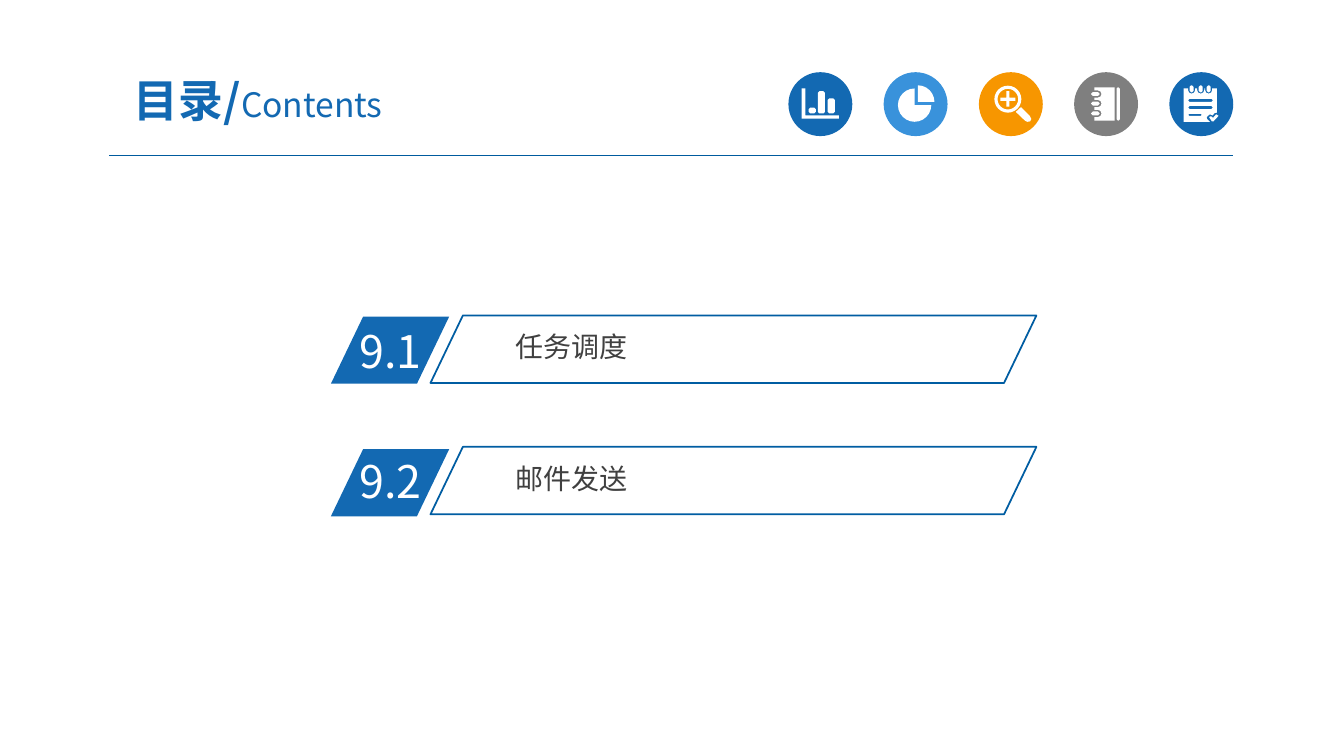
from math import cos, radians, sin
from lxml.etree import SubElement
from pptx import Presentation
from pptx.dml.color import RGBColor
from pptx.enum.shapes import MSO_CONNECTOR, MSO_SHAPE as Preset
from pptx.enum.text import MSO_ANCHOR, PP_ALIGN
from pptx.oxml.ns import qn
from pptx.util import Cm, Pt

BLUE = RGBColor(0x13, 0x69, 0xB2)
LIGHT_BLUE = RGBColor(0x39, 0x92, 0xDB)
ORANGE = RGBColor(0xF7, 0x96, 0x00)
GRAY = RGBColor(0x7F, 0x7F, 0x7F)
FRAME_BLUE = RGBColor(0x00, 0x5D, 0xA2)
RULE_BLUE = RGBColor(0x00, 0x5B, 0x9E)
DARK = RGBColor(0x40, 0x40, 0x40)
WHITE = RGBColor(0xFF, 0xFF, 0xFF)
FONT = "Noto Sans CJK SC"

deck = Presentation()
deck.slide_width, deck.slide_height = Cm(33.87), Cm(19.05)
slide = deck.slides.add_slide(deck.slide_layouts[6])
shapes = slide.shapes


def arc(center_x, center_y, radius, start, end, step=15):
    return [(center_x + radius * cos(radians(angle)), center_y + radius * sin(radians(angle)))
            for angle in range(start, end + 1, step)]


def add_text(left, top, width, height, inset_x, inset_y, texts, color, size):
    frame = shapes.add_textbox(Cm(left), Cm(top), Cm(width), Cm(height)).text_frame
    frame.word_wrap = True
    frame.margin_left = frame.margin_right = Cm(inset_x)
    frame.margin_top = frame.margin_bottom = Cm(inset_y)
    line = frame.paragraphs[0]
    for text in texts:
        line.add_run().text = text
    line.font.name = FONT
    line.font.size = Pt(size)
    line.font.color.rgb = color
    SubElement(line.font._element, qn("a:ea")).set("typeface", FONT)
    return frame


header_rule = shapes.add_connector(MSO_CONNECTOR.STRAIGHT, Cm(2.75), Cm(3.93), Cm(31.07), Cm(3.93))
header_rule.line.color.rgb = RULE_BLUE
header_rule.line.width = Pt(0.75)
SubElement(header_rule._element.spPr, qn("a:effectLst"))

axes = [(0.33, 0.41), (0.43, 0.41), (0.43, 1.09), (1.27, 1.09), (1.27, 1.17), (0.33, 1.17)]
bars = [(0.51, 0.89, 0.18, 0.15), (0.74, 0.48, 0.18, 0.56), (0.99, 0.66, 0.18, 0.38)]

pie = [(0.78, 0.83)] + arc(0.78, 0.83, 0.42, 0, 270)
slice_out = [(0.86, 0.75)] + arc(0.86, 0.75, 0.42, 270, 360)

lens_rim = arc(0.73, 0.68, 0.34, 0, 345)
lens_hole = arc(0.73, 0.68, 0.26, 0, 345)
plus = [(0.69, 0.48), (0.77, 0.48), (0.77, 0.64), (0.92, 0.64), (0.92, 0.72), (0.77, 0.72),
        (0.77, 0.87), (0.69, 0.87), (0.69, 0.72), (0.54, 0.72), (0.54, 0.64), (0.69, 0.64)]
handle = [(0.93, 1.0), (1.06, 0.88), (1.28, 1.1), (1.32, 1.18), (1.29, 1.24), (1.22, 1.25),
          (1.16, 1.22)]

cover = [(0.51, 0.38), (1.02, 0.38), (1.02, 1.22), (0.51, 1.22)]
coils = []
for middle in (1.04, 0.79, 0.55):
    cover += [(0.51, middle + 0.09)] + arc(0.6, middle, 0.09, -90, 90, 45)[::-1]
    cover.append((0.51, middle - 0.09))
    coils.append((0.43, middle - 0.05, 0.21, 0.1))
spine = (1.07, 0.38, 0.08, 0.84)

sheet = [(0.36, 0.41)]
rings = []
for middle in (0.56, 0.79, 0.99):
    sheet += [(middle - 0.09, 0.41)] + arc(middle, 0.45, 0.09, 0, 180, 45)[::-1]
    sheet.append((middle + 0.09, 0.41))
    rings.append((middle - 0.05, 0.33, 0.1, 0.18))
sheet += [(1.2, 0.41), (1.2, 1.02), (1.14, 1.03), (1.09, 1.09), (1.02, 1.06), (0.94, 1.13),
          (0.95, 1.18), (1.02, 1.25), (0.36, 1.25)]
written_lines = [(0.48, 0.67, 0.61, 0.08), (0.48, 0.85, 0.61, 0.08), (0.48, 1.05, 0.33, 0.05)]
tick = [(1.0, 1.13), (1.05, 1.11), (1.1, 1.15), (1.18, 1.06), (1.24, 1.1), (1.11, 1.24),
        (1.07, 1.24)]

DISC, DISC_TOP, DISC_LEFT, DISC_PITCH = 1.61, 1.82, 19.87, 2.4
icons = [(BLUE, [axes], bars),
         (LIGHT_BLUE, [pie, slice_out], []),
         (ORANGE, [lens_rim, lens_hole, plus, handle], []),
         (GRAY, [cover], coils + [spine]),
         (BLUE, [sheet, tick], rings + written_lines)]
for order, (disc_color, outlines, rounded_bars) in enumerate(icons):
    disc_left = DISC_LEFT + order * DISC_PITCH
    disc = shapes.add_shape(Preset.OVAL, Cm(disc_left), Cm(DISC_TOP), Cm(DISC), Cm(DISC))
    for left, top, width, height in rounded_bars:
        cut = min(width, height, 0.1) * 0.4
        right, bottom = left + width, top + height
        outlines.append([(left + cut, top), (right - cut, top), (right, top + cut),
                         (right, bottom - cut), (right - cut, bottom), (left + cut, bottom),
                         (left, bottom - cut), (left, top + cut)])
    placed = [[(Cm(disc_left + x), Cm(DISC_TOP + y)) for x, y in outline] for outline in outlines]
    builder = shapes.build_freeform(*placed[0][0])
    builder.add_line_segments(placed[0][1:], close=True)
    for outline in placed[1:]:
        builder.move_to(*outline[0])
        builder.add_line_segments(outline[1:], close=True)
    symbol = builder.convert_to_shape()
    for part, color in ((disc, disc_color), (symbol, WHITE)):
        part.shadow.inherit = False
        part.fill.solid()
        part.fill.fore_color.rgb = color
        part.line.fill.background()

heading = add_text(2.33, 1.6, 8.36, 1.83, 0.33, 0.18, ["目录/", "Contents"], BLUE, 32)
heading.vertical_anchor = MSO_ANCHOR.MIDDLE
heading.paragraphs[0].alignment = PP_ALIGN.CENTER
chinese, english = heading.paragraphs[0].runs
chinese.font.bold = True
english.font.size = Pt(24)

SLANT = 0.48
sections = [("9.1", "任务调度", 7.98, 8.03, 7.95), ("9.2", "邮件发送", 11.32, 11.3, 11.26)]
for number, topic, badge_top, number_top, frame_top in sections:
    badge = shapes.add_shape(Preset.PARALLELOGRAM, Cm(8.34), Cm(badge_top), Cm(2.98), Cm(1.69))
    badge.fill.solid()
    badge.fill.fore_color.rgb = BLUE
    badge.line.fill.background()
    add_text(8.81, number_top, 2.84, 1.63, 0.25, 0.13, [number], WHITE, 32)
    add_text(12.8, frame_top + 0.26, 10.46, 1.04, 0.18, 0.1, [topic], DARK, 20)
    topic_frame = shapes.add_shape(Preset.PARALLELOGRAM, Cm(10.85), Cm(frame_top), Cm(15.27), Cm(1.7))
    topic_frame.fill.background()
    topic_frame.line.color.rgb = FRAME_BLUE
    topic_frame.line.width = Pt(1.25)
    for slanted in (badge, topic_frame):
        slanted.shadow.inherit = False
        slanted.adjustments[0] = SLANT

deck.save("out.pptx")
